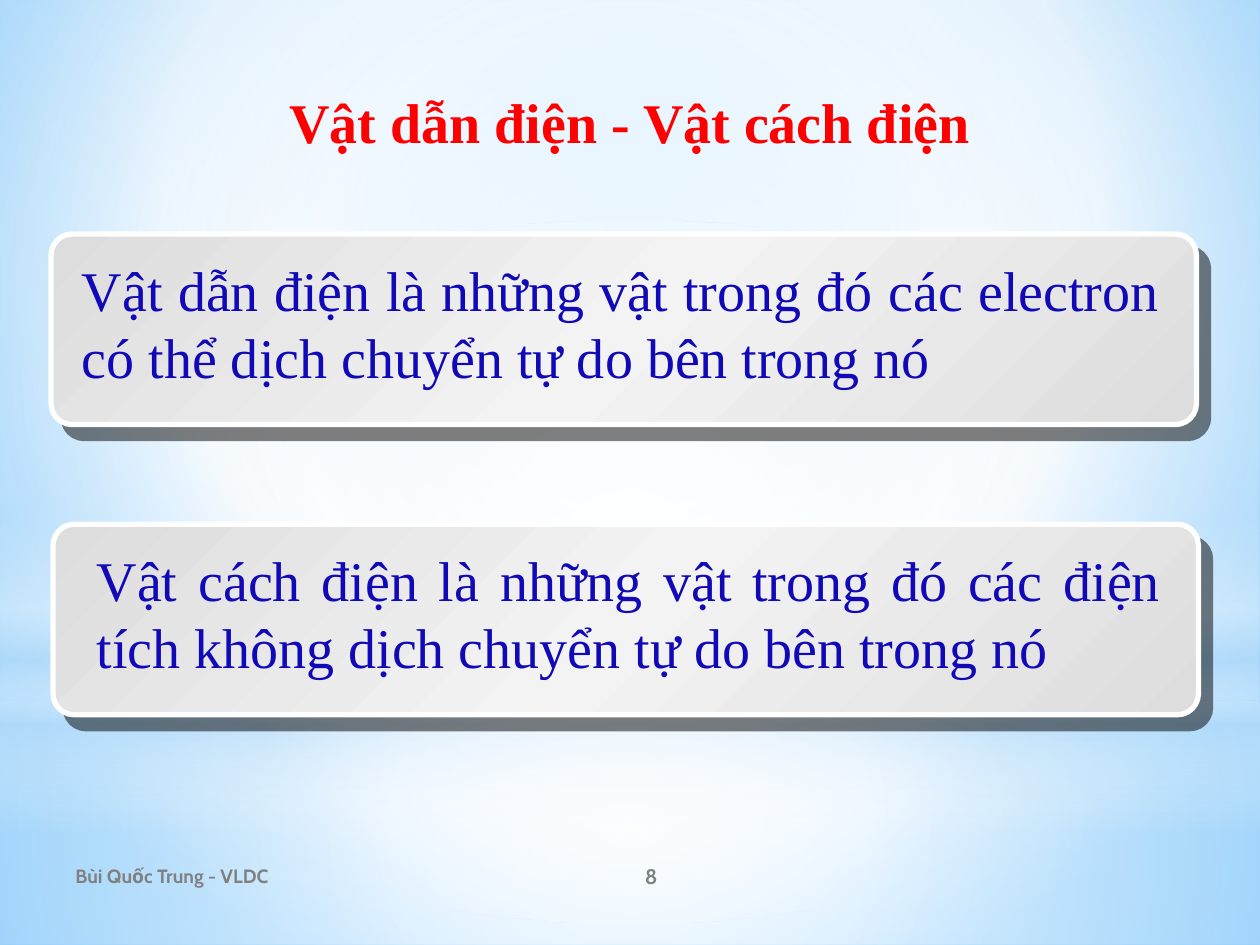
from lxml.etree import SubElement
from pptx import Presentation
from pptx.dml.color import RGBColor
from pptx.enum.shapes import MSO_SHAPE
from pptx.enum.text import MSO_ANCHOR, MSO_AUTO_SIZE, PP_ALIGN
from pptx.oxml.ns import qn
from pptx.util import Cm, Pt

SERIF, SANS = "Times New Roman", "Cabin"
RED, BLUE, GREY, WHITE, SKY = "FF0000", "1109B7", "808080", "FFFFFF", "B4DCFA"
CENTER = (50, 50, 50, 50)
SILVER = [(0, "DDDDDD"), (50, "F3F3F3"), (100, "DDDDDD")]


def rgb(hex_color):
    return RGBColor.from_string(hex_color)


def add_color(parent, hex_color, opacity=100):
    color = SubElement(parent, qn("a:srgbClr"), val=hex_color)
    if opacity < 100:
        SubElement(color, qn("a:alpha"), val=str(opacity * 1000))


def set_gradient(fill, properties, stops, angle=None, focus=None):
    """Replace the fill by a linear (angle) or circular (focus) gradient."""
    fill.solid()
    solid = properties.find(qn("a:solidFill"))
    gradient = SubElement(properties, qn("a:gradFill"), rotWithShape="1")
    properties.replace(solid, gradient)
    stop_list = SubElement(gradient, qn("a:gsLst"))
    for position, *color in stops:
        stop = SubElement(stop_list, qn("a:gs"), pos=str(position * 1000))
        add_color(stop, *color)
    if focus:
        circle = SubElement(gradient, qn("a:path"))
        circle.set("path", "circle")
        sides = {side: str(inset * 1000) for side, inset in zip("ltrb", focus)}
        SubElement(circle, qn("a:fillToRect"), **sides)
    else:
        SubElement(gradient, qn("a:lin"), ang=str(angle * 60000), scaled="0")


def add_gradient_shape(shapes, kind, box, stops, **direction):
    shape = shapes.add_shape(kind, *map(Cm, box))
    shape.shadow.inherit = False
    shape.line.fill.background()
    set_gradient(shape.fill, shape.element.spPr, stops, **direction)
    return shape


def add_text(shapes, text, box, *, size, color, font=SERIF, bold=False,
             align=PP_ALIGN.LEFT, anchor=MSO_ANCHOR.TOP, grow=False):
    frame = shapes.add_textbox(*map(Cm, box)).text_frame
    frame.word_wrap = True
    frame.auto_size = MSO_AUTO_SIZE.SHAPE_TO_FIT_TEXT if grow else MSO_AUTO_SIZE.NONE
    frame.vertical_anchor = anchor
    paragraph = frame.paragraphs[0]
    paragraph.alignment = align
    run = paragraph.add_run()
    run.text = text
    run.font.name, run.font.size, run.font.bold = font, Pt(size), bold
    run.font.color.rgb = rgb(color)


def add_background(slide):
    fill = slide.background.fill
    fill.solid()
    set_gradient(fill, slide.element.find(".//" + qn("p:bgPr")),
                 [(0, "9ED5FF"), (60, WHITE), (100, "5BB9FF")],
                 focus=(20, 10, 20, 60))
    # Lower and upper haze, horizon band, central glow
    add_gradient_shape(slide.shapes, MSO_SHAPE.RECTANGLE, (0, 14.17, 25.4, 4.88),
                       [(0, WHITE, 91), (37, WHITE, 76), (100, SKY, 79)], focus=CENTER)
    add_gradient_shape(slide.shapes, MSO_SHAPE.RECTANGLE, (0, 0, 25.4, 14.17),
                       [(0, WHITE, 89), (48, WHITE, 62), (100, SKY, 79)], focus=CENTER)
    add_gradient_shape(slide.shapes, MSO_SHAPE.RECTANGLE, (0, 10.46, 25.4, 6.35),
                       [(0, WHITE, 0), (29, WHITE, 30), (45, SKY, 40),
                        (55, WHITE, 26), (65, SKY, 60), (100, WHITE, 0)], angle=90)
    add_gradient_shape(slide.shapes, MSO_SHAPE.OVAL, (0, 4.45, 25.4, 14.17),
                       [(0, WHITE), (56, WHITE, 0)], focus=CENTER)


def add_definition(slide, text, left, top, text_left, text_width):
    """Silver panel with a hard shadow, grouped with its definition."""
    shapes = slide.shapes.add_group_shape().shapes
    panel = add_gradient_shape(shapes, MSO_SHAPE.ROUNDED_RECTANGLE,
                               (left, top, 23.09, 3.84), SILVER, angle=45)
    panel.adjustments[0] = 0.11
    panel.line.color.rgb = rgb(WHITE)
    panel.line.width = Pt(3)
    shadow = SubElement(panel.element.spPr.find(qn("a:effectLst")), qn("a:outerShdw"),
                        dist=str(Pt(10.6)), dir=str(49 * 60000),
                        algn="ctr", rotWithShape="0")
    add_color(shadow, "000000", 50)
    add_text(shapes, text, (text_left, top + 0.3, text_width, 3), size=32,
             color=BLUE, align=PP_ALIGN.JUSTIFY, grow=True)


def main():
    prs = Presentation()
    prs.slide_width, prs.slide_height = Cm(25.4), Cm(19.05)
    slide = prs.slides.add_slide(prs.slide_layouts[6])
    add_background(slide)

    # Title
    add_text(slide.shapes, "Vật dẫn điện - Vật cách điện", (1.27, 1.63, 22.86, 1.73),
             size=32, color=RED, bold=True, align=PP_ALIGN.CENTER)

    # Definitions
    add_definition(slide, "Vật dẫn điện là những vật trong đó các electron "
                   "có thể dịch chuyển tự do bên trong nó", 1.03, 4.72, 1.4, 22.25)
    add_definition(slide, "Vật cách điện là những vật trong đó các điện tích "
                   "không dịch chuyển tự do bên trong nó", 1.07, 10.57, 1.7, 21.97)

    # Footer
    footer = dict(font=SANS, color=GREY, bold=True, anchor=MSO_ANCHOR.MIDDLE)
    add_text(slide.shapes, "Bùi Quốc Trung - VLDC", (1.27, 17.15, 9.32, 1.01),
             size=11, **footer)
    add_text(slide.shapes, "8", (10.59, 17.15, 5.08, 1.01),
             size=12, align=PP_ALIGN.CENTER, **footer)

    prs.save("out.pptx")


if __name__ == "__main__":
    main()
